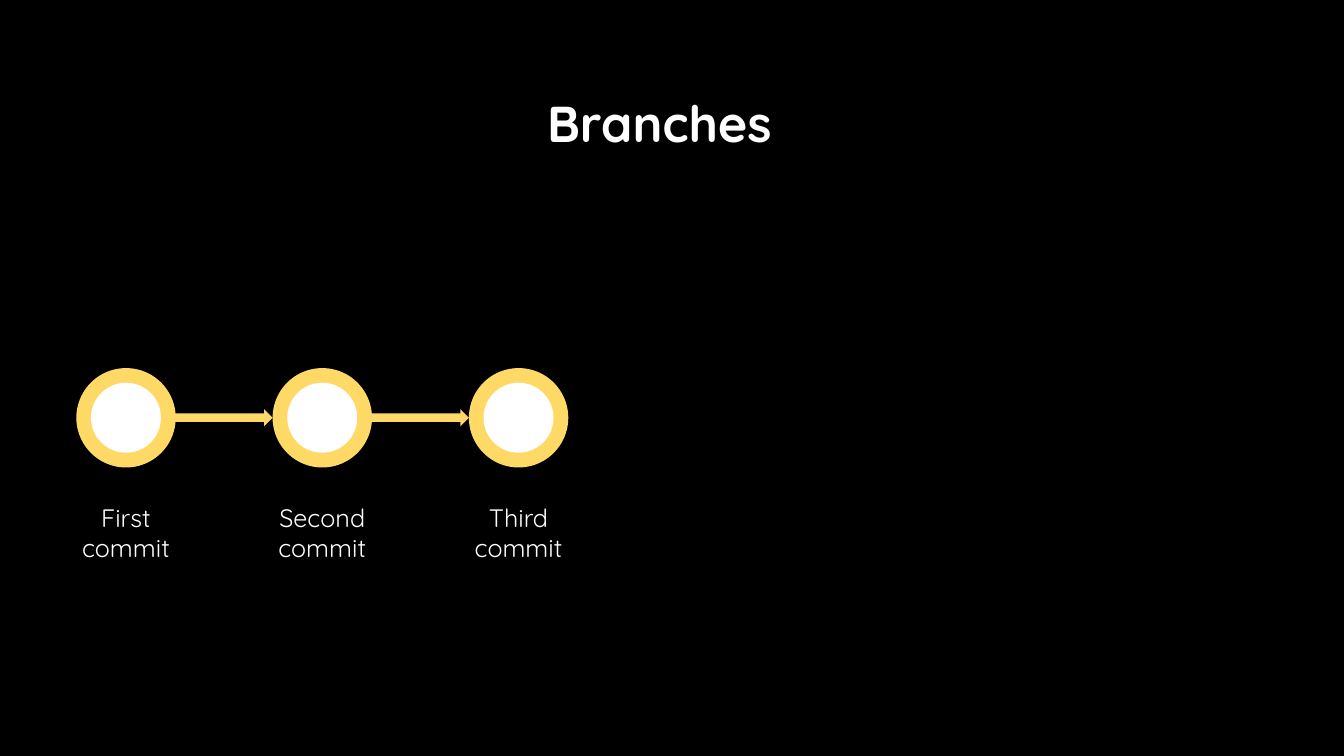
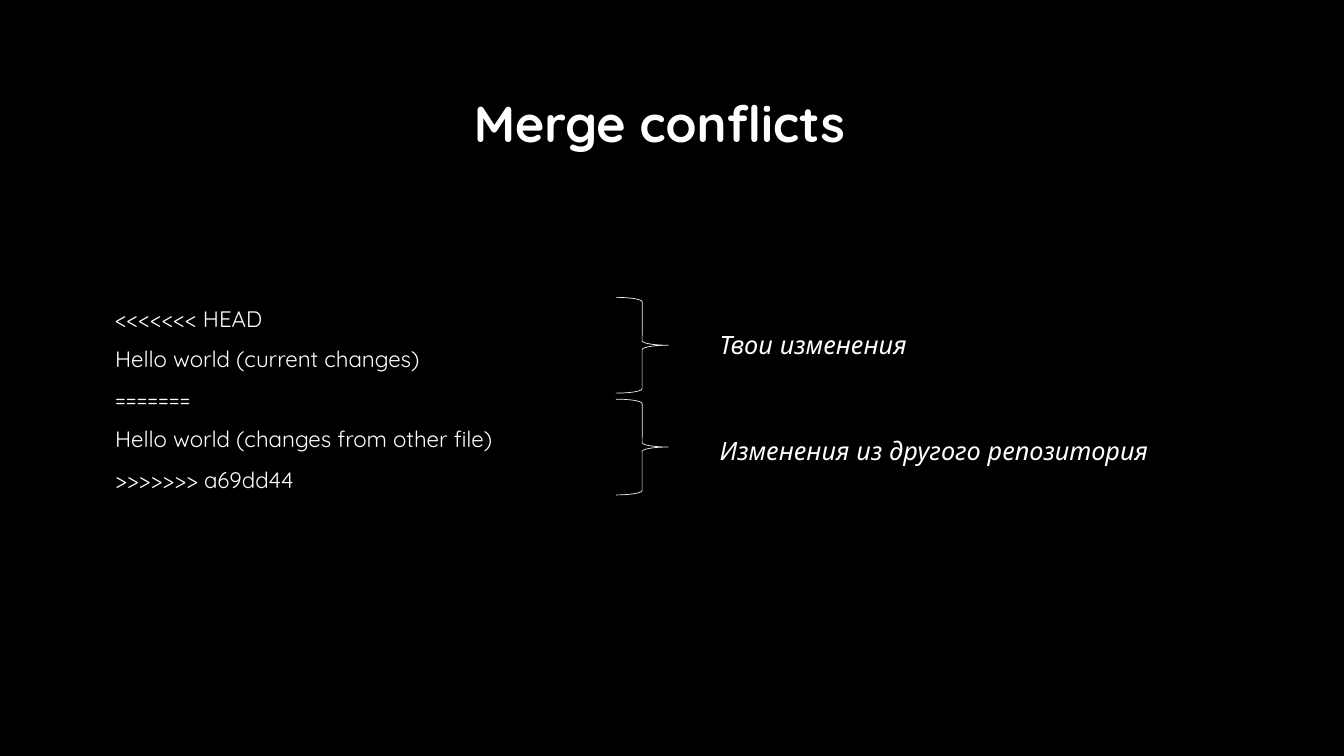
"""Build two dark slides about branches and merge conflicts."""
from dataclasses import dataclass

import lxml.etree
import pptx
import pptx.dml.color
import pptx.enum.shapes
import pptx.enum.text
import pptx.oxml.ns
import pptx.presentation
import pptx.shapes.autoshape
import pptx.slide
import pptx.text.text
import pptx.util

Pt = pptx.util.Pt
Shape = pptx.enum.shapes.MSO_SHAPE
Align = pptx.enum.text.PP_ALIGN

BLACK = pptx.dml.color.RGBColor(0x00, 0x00, 0x00)
WHITE = pptx.dml.color.RGBColor(0xFF, 0xFF, 0xFF)
YELLOW = pptx.dml.color.RGBColor(0xFF, 0xD9, 0x66)
PALE = pptx.dml.color.RGBColor(0xF2, 0xF2, 0xF2)
FONT = "Quicksand"

TITLE_ONLY, TITLE_AND_BODY = 5, 1
COMMIT_X, COMMIT_Y, COMMIT_STEP = 90, 298.4, 140.2
RING, CORE = 71, 50
ARROW_HEIGHT = 12.2
COMMITS = ("First commit", "Second commit", "Third commit")
CONFLICT = (
    "<<<<<<< HEAD",
    "Hello world (current changes)",
    "=======",
    "Hello world (changes from other file)",
    ">>>>>>> a69dd44",
)


@dataclass(frozen=True)
class Box:
    left: float
    top: float
    width: float
    height: float

    def lengths(self) -> tuple[pptx.util.Length, ...]:
        return Pt(self.left), Pt(self.top), Pt(self.width), Pt(self.height)


@dataclass(frozen=True)
class TextStyle:
    size: float
    bold: bool = False
    italic: bool = False
    align: Align = Align.LEFT
    line_spacing: float = 1.0


@dataclass(frozen=True)
class Side:
    text: str
    brace_top: float
    text_top: float


TITLE_BOX = Box(271, 62, 400, 51)
TITLE_STYLE = TextStyle(36, bold=True, align=Align.CENTER)
CODE_BOX = Box(75, 204.5, 767.5, 178)
CODE_STYLE = TextStyle(16, line_spacing=1.5)
COMMIT_STYLE = TextStyle(18, align=Align.CENTER)
SIDE_STYLE = TextStyle(18, italic=True)
SIDES = (
    Side("Твои изменения", 212.4, 231.8),
    Side("Изменения из другого репозитория", 285.1, 307.6),
)


def write(frame: pptx.text.text.TextFrame, text: str, style: TextStyle) -> None:
    frame.text = text
    frame.word_wrap = True
    frame.auto_size = pptx.enum.text.MSO_AUTO_SIZE.NONE
    frame.vertical_anchor = pptx.enum.text.MSO_ANCHOR.TOP
    for para in frame.paragraphs:
        para.alignment = style.align
        para.line_spacing = style.line_spacing
        para.space_before = para.space_after = Pt(0)
        for span in para.runs:
            span.font.name = FONT
            span.font.size = Pt(style.size)
            span.font.bold = style.bold
            span.font.italic = style.italic
            span.font.color.rgb = WHITE


def fill_placeholder(
    page: pptx.slide.Slide, index: int, box: Box, text: str, style: TextStyle
) -> pptx.text.text.TextFrame:
    holder = page.placeholders[index]
    holder.left, holder.top, holder.width, holder.height = box.lengths()
    write(holder.text_frame, text, style)
    return holder.text_frame


def add_page(
    deck: pptx.presentation.Presentation, layout: int, title: str
) -> pptx.slide.Slide:
    page = deck.slides.add_slide(deck.slide_layouts[layout])
    fill_placeholder(page, 0, TITLE_BOX, title, TITLE_STYLE)
    return page


def add_label(page: pptx.slide.Slide, box: Box, text: str, style: TextStyle) -> None:
    write(page.shapes.add_textbox(*box.lengths()).text_frame, text, style)


def add_solid(
    page: pptx.slide.Slide, kind: Shape, box: Box, color: pptx.dml.color.RGBColor
) -> None:
    shape = page.shapes.add_shape(kind, *box.lengths())
    shape.shadow.inherit = False
    shape.fill.solid()
    shape.fill.fore_color.rgb = color
    shape.line.fill.background()


def add_brace(page: pptx.slide.Slide, box: Box) -> None:
    brace = page.shapes.add_shape(Shape.RIGHT_BRACE, *box.lengths())
    brace.shadow.inherit = False
    brace.fill.background()
    brace.line.color.rgb = PALE
    brace.line.width = Pt(0.5)


def remove_bullets(frame: pptx.text.text.TextFrame) -> None:
    for para in frame.paragraphs:
        properties = para._p.get_or_add_pPr()
        properties.set("marL", "0")
        properties.set("indent", "0")
        lxml.etree.SubElement(properties, pptx.oxml.ns.qn("a:buNone"))


def add_commit(page: pptx.slide.Slide, center: float, text: str) -> None:
    for size, color in ((RING, YELLOW), (CORE, WHITE)):
        box = Box(center - size / 2, COMMIT_Y - size / 2, size, size)
        add_solid(page, Shape.OVAL, box, color)
    add_label(page, Box(center - 49.3, 355.2, 98.6, 51), text, COMMIT_STYLE)


def build_branches(deck: pptx.presentation.Presentation) -> None:
    page = add_page(deck, TITLE_ONLY, "Branches")
    centers = [COMMIT_X + i * COMMIT_STEP for i in range(len(COMMITS))]
    for center, text in zip(centers, COMMITS):
        add_commit(page, center, text)
    for start, end in zip(centers, centers[1:]):
        left = start + CORE / 2
        width = end - RING / 2 - left
        box = Box(left, COMMIT_Y - ARROW_HEIGHT / 2, width, ARROW_HEIGHT)
        add_solid(page, Shape.RIGHT_ARROW, box, YELLOW)


def build_conflicts(deck: pptx.presentation.Presentation) -> None:
    page = add_page(deck, TITLE_AND_BODY, "Merge conflicts")
    code = fill_placeholder(page, 1, CODE_BOX, "\n".join(CONFLICT), CODE_STYLE)
    remove_bullets(code)
    for side in SIDES:
        add_brace(page, Box(440, side.brace_top, 37.4, 68.4))
        add_label(page, Box(507, side.text_top, 350, 29), side.text, SIDE_STYLE)


def main() -> None:
    deck = pptx.Presentation()
    deck.slide_width, deck.slide_height = Pt(960), Pt(540)
    backdrop = deck.slide_master.background.fill
    backdrop.solid()
    backdrop.fore_color.rgb = BLACK
    build_branches(deck)
    build_conflicts(deck)
    deck.save("out.pptx")


if __name__ == "__main__":
    main()
